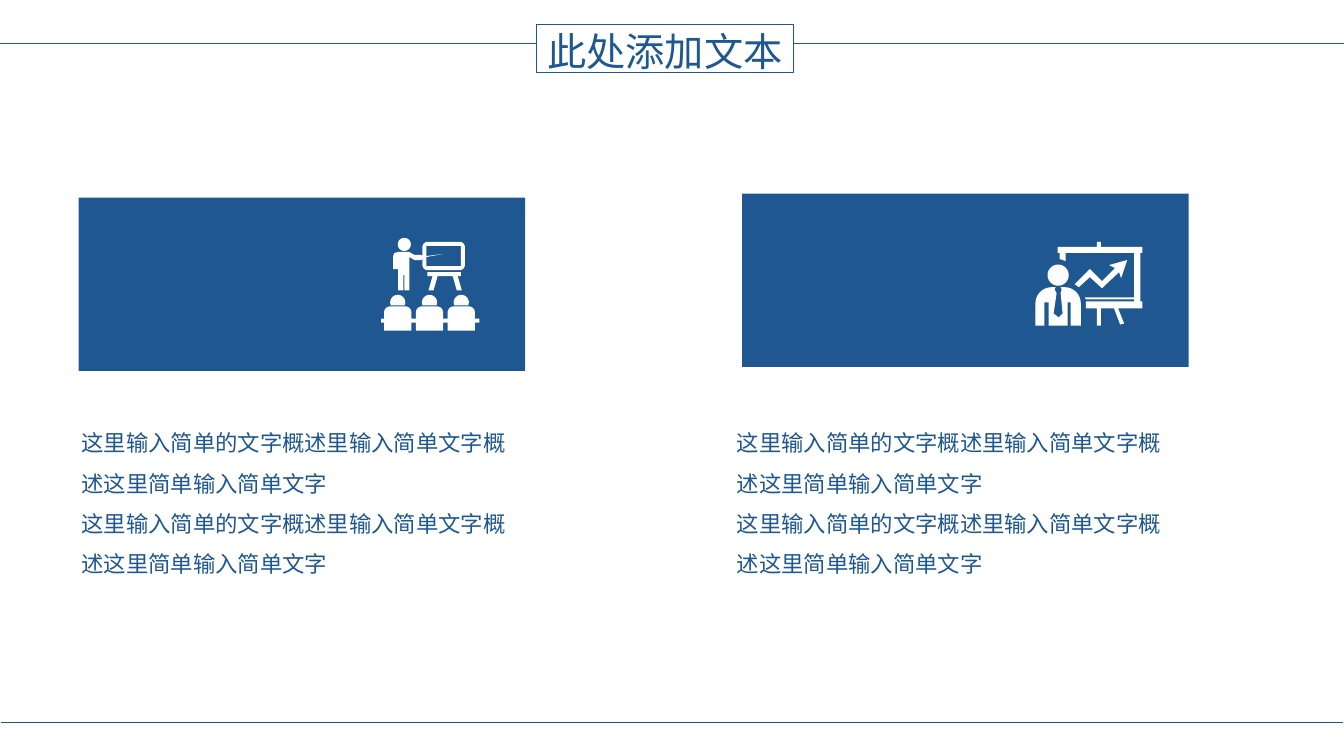
import math

import pptx
import pptx.dml.color
import pptx.enum.shapes
import pptx.enum.text
import pptx.oxml
import pptx.oxml.ns
import pptx.util

Inches = pptx.util.Inches
COLORS = {"blue": "1F5891", "white": "FFFFFF"}
FONT = "Noto Sans CJK SC"
TITLE = "此处添加文本"
SUMMARY = "这里输入简单的文字概述里输入简单文字概述这里简单输入简单文字"


def color(name):
    """Return the named palette colour."""
    return pptx.dml.color.RGBColor.from_string(COLORS[name])


def write_text(shape, paragraphs, size, spacing, align=pptx.enum.text.PP_ALIGN.LEFT,
               anchor=pptx.enum.text.MSO_ANCHOR.TOP, margin=None):
    """Fill a shape with formatted paragraphs."""
    frame = shape.text_frame
    frame.word_wrap = True
    frame.vertical_anchor = anchor
    if margin is not None:
        frame.margin_left = frame.margin_right = Inches(margin)
        frame.margin_top = frame.margin_bottom = Inches(margin)
    frame.text = "\n".join(paragraphs)
    for paragraph in frame.paragraphs:
        paragraph.alignment = align
        paragraph.line_spacing = spacing
        font = paragraph.runs[0].font
        font.size = pptx.util.Pt(size)
        font.name = FONT
        font.color.rgb = color("blue")
        properties = paragraph.runs[0].font._element
        east_asian = pptx.oxml.parse_xml(
            f'<a:ea {pptx.oxml.ns.nsdecls("a")} typeface="{FONT}"/>')
        properties.find(pptx.oxml.ns.qn("a:latin")).addnext(east_asian)


def add_rectangle(slide, left, top, width, height):
    """Add a rectangle without shadow, fill or line."""
    shape = slide.shapes.add_shape(
        pptx.enum.shapes.MSO_SHAPE.RECTANGLE,
        Inches(left), Inches(top), Inches(width), Inches(height))
    shape.shadow.inherit = False
    shape.fill.background()
    shape.line.fill.background()
    return shape


def add_rule(slide, start, end, top):
    """Draw a thin horizontal rule."""
    rule = slide.shapes.add_connector(
        pptx.enum.shapes.MSO_CONNECTOR.STRAIGHT,
        Inches(start), Inches(top), Inches(end), Inches(top))
    rule.line.color.rgb = color("blue")
    rule.line.width = pptx.util.Pt(0.5)
    rule._element.spPr.append(
        pptx.oxml.parse_xml(f'<a:effectLst {pptx.oxml.ns.nsdecls("a")}/>'))


def arc(x, y, radius, start, end, steps=10):
    """Return points along an arc, with angles in degrees clockwise from the right."""
    angles = [math.radians(start + (end - start) * i / steps) for i in range(steps + 1)]
    return [(x + radius * math.cos(a), y + radius * math.sin(a)) for a in angles]


def circle(x, y, radius):
    """Return the points of a full circle."""
    return arc(x, y, radius, 0, 360, 36)


def box(left, top, right, bottom):
    """Return the corners of a rectangle."""
    return [(left, top), (right, top), (right, bottom), (left, bottom)]


def round_top(left, top, right, bottom, radius):
    """Return a rectangle outline with rounded upper corners."""
    return (arc(left + radius, top + radius, radius, 180, 270)
            + arc(right - radius, top + radius, radius, 270, 360)
            + [(right, bottom), (left, bottom)])


def chart_presenter():
    """Return the outlines of a presenter beside a chart, in hundredths of an inch."""
    arrow = [(54, 27), (39, 42), (43, 45), (54, 35), (66, 46), (83, 30),
             (85, 36), (91, 18), (73, 23), (79, 26), (66, 39)]
    easel = [(106, 11), (106, 5), (65, 5), (65, 0), (61, 0), (61, 5), (22, 5),
             (22, 11), (24, 11), (24, 17), (30, 19), (30, 11), (98, 11), (98, 55),
             (49, 55), (50, 57), (98, 57), (98, 59), (50, 59), (50, 66), (61, 66),
             (61, 83), (65, 83), (65, 66), (78, 66), (84, 82), (88, 81), (82, 66),
             (106, 66), (106, 59), (104, 59), (104, 11)]
    tie = [(25, 45), (26, 47), (25, 51), (27, 71), (23, 75), (18, 71),
           (21, 51), (19, 47), (20, 45)]
    sleeves = [(0, 83), (9, 83), (9, 60), (13, 60), (13, 83), (32, 83),
               (32, 60), (35, 60), (35, 83), (45, 83)]
    body = tie + arc(16, 61, 16, 270, 180) + sleeves + arc(29, 61, 16, 0, -90)
    return [arrow, easel, circle(22.5, 33, 10.5), body]


def classroom():
    """Return the outlines of a teacher before a class, in hundredths of an inch."""
    screen = (arc(46, 9, 5, 180, 270) + arc(78, 9, 5, 270, 360)
              + arc(78, 27, 5, 0, 90) + arc(46, 27, 5, 90, 180))
    opening = [(45, 8), (79, 8), (79, 28), (45, 28), (45, 19), (61, 16), (45, 18)]
    teacher = [(28, 14), (17, 14), (13, 15), (12, 18), (12, 31), (17, 31), (17, 52),
               (22, 52), (22, 37), (23, 37), (23, 52), (28, 52), (28, 19), (33, 22),
               (40, 22), (41, 20), (41, 18), (40, 17), (33, 17)]
    easel = [(79, 34), (79, 38), (76, 38), (80, 52), (75, 52), (71, 38), (56, 38),
             (52, 52), (47, 52), (51, 38), (46, 38), (46, 34)]
    outlines = [screen, opening, teacher, easel, circle(23, 6.5, 6.5)]
    pitch = 31.5
    for seat in range(3):
        left = 3 + seat * pitch
        outlines.append(arc(left + 13.5, 64, 7.5, 156, 384, 20))
        outlines.append(round_top(left, 68, left + 27, 92, 6))
    for gap in range(4):
        right = 3 + gap * pitch
        outlines.append(box(max(0, right - 4.5), 80, right, 84))
    return outlines


def add_icon(slide, left, top, outlines):
    """Draw white outlines as one freeform placed at left and top."""
    contours = [[(Inches(left + x / 100), Inches(top + y / 100)) for x, y in outline]
                for outline in outlines]
    builder = slide.shapes.build_freeform(*contours[0][0], scale=1.0)
    for index, contour in enumerate(contours):
        if index:
            builder.move_to(*contour[0])
        builder.add_line_segments(contour[1:], close=True)
    icon = builder.convert_to_shape()
    icon.shadow.inherit = False
    icon.fill.solid()
    icon.fill.fore_color.rgb = color("white")
    icon.line.fill.background()


def add_header(slide, left, top, width, height):
    """Add the framed title with a rule on either side."""
    title = add_rectangle(slide, left, top, width, height)
    title.line.color.rgb = color("blue")
    title.line.width = pptx.util.Pt(0.75)
    write_text(title, [TITLE], 28, 1.1, align=pptx.enum.text.PP_ALIGN.CENTER,
               anchor=pptx.enum.text.MSO_ANCHOR.MIDDLE, margin=0)
    add_rule(slide, 0, left, top + 0.19)
    add_rule(slide, left + width, 13.33, top + 0.19)


def add_card(slide, left, top, outlines, icon_x, icon_y):
    """Add a blue card with an icon offset from its corner."""
    card = add_rectangle(slide, left, top, 4.43, 1.72)
    card.fill.solid()
    card.fill.fore_color.rgb = color("blue")
    add_icon(slide, left + icon_x, top + icon_y, outlines)


def add_summary(slide, left, top, width, height):
    """Add the two-paragraph description below a card."""
    summary = slide.shapes.add_textbox(
        Inches(left), Inches(top), Inches(width), Inches(height))
    write_text(summary, [SUMMARY] * 2, 16, 1.5)


def main():
    """Build and save the slide."""
    presentation = pptx.Presentation()
    presentation.slide_width = Inches(13.33)
    presentation.slide_height = Inches(7.5)
    slide = presentation.slides.add_slide(presentation.slide_layouts[6])
    add_card(slide, 0.78, 1.96, classroom(), 3, 0.4)
    add_card(slide, 7.36, 1.92, chart_presenter(), 2.91, 0.48)
    for left in (0.71, 7.21):
        add_summary(slide, left, 4.08, 4.57, 2.07)
    add_header(slide, 5.32, 0.24, 2.55, 0.48)
    add_rule(slide, 0.01, 13.32, 7.17)
    presentation.save("out.pptx")


if __name__ == "__main__":
    main()
